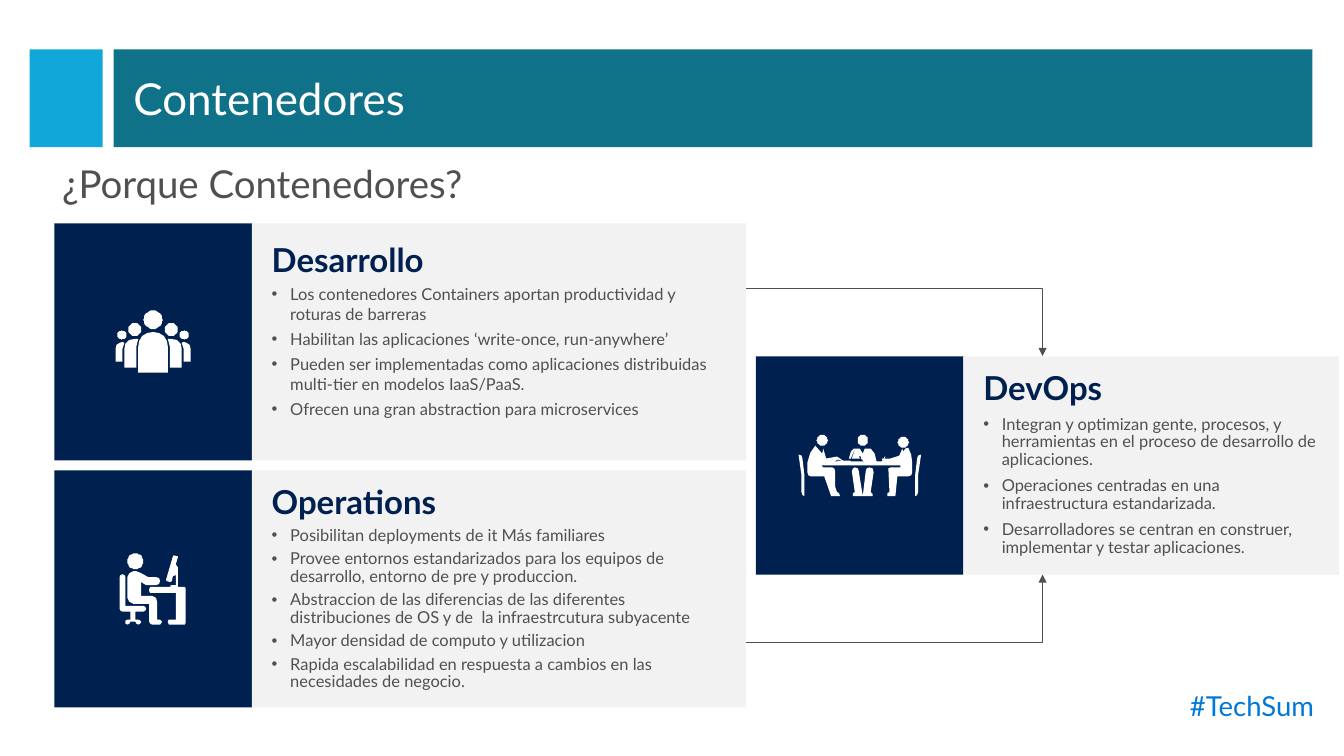
import math

import lxml.etree
import pptx
import pptx.dml.color
import pptx.enum.shapes
import pptx.enum.text
import pptx.oxml.ns
import pptx.util

Pt = pptx.util.Pt
qn = pptx.oxml.ns.qn
KIND = pptx.enum.shapes.MSO_SHAPE
ANCHOR = pptx.enum.text.MSO_ANCHOR
ALIGN = pptx.enum.text.PP_ALIGN
FONT = "Lato"
COLORS = {
    "teal": "107289", "cyan": "11A7D8", "navy": "002050", "pale": "F2F2F2",
    "gray": "505050", "blue": "0078D7", "white": "FFFFFF",
}

# Icon outlines, in units of 0.72 pt; discs are (x, y, radius)
TEAM_DISCS = [(6.5, 25, 4.5), (69.5, 25, 4.5), (19.5, 19.5, 6.5),
              (56.5, 19.5, 6.5), (38, 9.5, 9.5)]
TEAM_SIDE = [
    [(7, 32), (9, 33), (7.5, 36), (7, 39), (7, 52), (0, 52), (0, 39),
     (1, 35), (3.5, 33)],
    [(23, 29), (21.5, 33), (21, 37), (21, 58), (9, 58), (9, 39), (10.5, 34),
     (14.5, 30), (20, 29)],
]
TEAM_LEAD = [(23, 63), (23, 37), (24.2, 31), (27.4, 26.4), (32.3, 23.1), (38, 22),
             (43.7, 23.1), (48.6, 26.4), (51.8, 31), (53, 37), (53, 63)]
DESK_DISCS = [(16, 8, 8)]
DESK = [
    # Desk and screen
    [(67, 37), (67, 35), (66, 34), (59, 34), (59, 14), (57, 11), (59, 4), (59, 3),
     (55, 2), (54, 3), (47, 27), (48, 28), (51, 29), (53, 28), (54, 23), (57, 22),
     (57, 32), (53, 32), (51, 33), (53, 34), (31, 34), (30, 36), (30, 38), (31, 40),
     (57, 40), (57, 67), (50, 67), (49, 68), (49, 70), (50, 72), (66, 72), (67, 70)],
    # Chair
    [(24, 53), (6, 53), (6, 24), (5, 22), (3, 21), (1, 22), (0, 24), (0, 56), (1, 58),
     (3, 59), (11, 59), (11, 67), (8, 67), (6.5, 68), (6, 69.5), (6.5, 71), (8, 72),
     (10, 71), (11, 69), (16, 69), (17, 71), (19, 72), (21, 71), (22, 69),
     (21, 67.5), (19, 67), (16, 67), (16, 59), (24, 59), (26, 58), (27, 56), (26, 54)],
    # Body
    [(41, 67), (38, 67), (38, 49), (37, 45), (33, 43), (22, 43), (22, 29), (25, 31),
     (27, 32), (37, 32), (40, 31), (41, 28), (40, 25), (37, 24), (29, 24), (22, 20),
     (17, 18), (14, 18), (10, 20), (8, 24), (8, 45), (10, 49), (14, 51), (30, 51),
     (30, 69), (31, 71), (33, 72), (41, 72), (42.5, 71), (43, 69), (42.5, 68)],
]
MEET_DISCS = [(24, 5.5, 5.5), (65, 5.5, 5.5), (106, 7.5, 5.5)]
MEET = [
    # Table and people
    [(111, 13), (108, 14), (106, 17), (105, 14), (102, 21), (93, 24), (87, 24),
     (88, 21), (86, 24), (84, 24), (85, 26), (84, 27), (79, 27), (77, 19), (73, 14),
     (67, 14), (65, 19), (62, 14), (56, 14), (53, 17), (51, 24), (53, 24), (57, 14),
     (57, 15), (54, 24), (62, 24), (61, 21), (63, 22), (63, 24), (66, 27), (52, 27),
     (53, 26), (39, 26), (40, 27), (36, 27), (40, 25), (45, 26), (39, 22), (28, 24),
     (25, 14), (24, 19), (17, 11), (12, 18), (9, 28), (9, 38), (10, 41), (12, 42),
     (26, 42), (33, 62), (42, 62), (41, 59), (39, 58), (37, 52), (37, 36), (36, 34),
     (34, 33), (25, 33), (23, 31), (103, 31), (103, 33), (93, 33), (91, 34), (91, 36),
     (92, 58), (90, 59), (90, 62), (98, 62), (100, 42), (111, 42), (114, 41),
     (115, 38), (115, 28), (114, 20)],
    # Legs
    [(57, 33), (55, 34), (54, 37), (57, 58), (55, 59), (55, 62), (65, 62), (61, 37),
     (60, 34)],
    [(72, 33), (69, 34), (68, 37), (65, 62), (75, 62), (75, 60), (73, 58), (76, 38),
     (75, 34)],
]
MEET_CHAIR = [(0, 20), (3, 41), (3, 58), (4, 61), (6, 62), (6, 41), (4, 24), (3, 21)]


def rgb(name):
    return pptx.dml.color.RGBColor.from_string(COLORS[name])


def paint(shape, color):
    shape.shadow.inherit = False
    shape.fill.solid()
    shape.fill.fore_color.rgb = rgb(color)
    shape.line.fill.background()


def frame(shape, side, top, anchor=ANCHOR.TOP):
    body = shape.text_frame
    body.word_wrap = True
    body.vertical_anchor = anchor
    body.margin_left = body.margin_right = Pt(side)
    body.margin_top = body.margin_bottom = Pt(top)
    return body


def write(body, text, size=12, color="gray", bold=False, bullet=False, before=0, line=1.0):
    para = body.paragraphs[0]
    if para.runs:
        para = body.add_paragraph()
    para.alignment = ALIGN.LEFT
    if bullet:
        props = para._p.get_or_add_pPr()
        props.set("marL", str(Pt(13.5)))
        props.set("indent", str(-Pt(13.5)))
        lxml.etree.SubElement(props, qn("a:buFont")).set("typeface", "Arial")
        lxml.etree.SubElement(props, qn("a:buChar")).set("char", "•")
    para.line_spacing = line
    para.space_before = Pt(before)
    run = para.add_run()
    run.text = text
    run.font.name = FONT
    run.font.size = Pt(size)
    run.font.bold = bold
    run.font.color.rgb = rgb(color)


def block(slide, x, y, w, h, color):
    shape = slide.shapes.add_shape(KIND.RECTANGLE, Pt(x), Pt(y), Pt(w), Pt(h))
    paint(shape, color)
    return shape


def label(slide, x, y, w, h, text, **style):
    box = slide.shapes.add_textbox(Pt(x), Pt(y), Pt(w), Pt(h))
    write(frame(box, 11.5, 7.2), text, line=0.9, **style)


def panel(slide, x, y, h, dark, light, title, items, before=4, line=0.9):
    block(slide, x, y, dark, h, "navy")
    body = frame(block(slide, x + dark, y, light, h, "pale"), 14.4, 11.5)
    write(body, title, size=24, color="navy", bold=True, line=line)
    for item in items:
        write(body, item, bullet=True, before=before, line=line)


def flip(points, width):
    return [(width - x, y) for x, y in points]


def ring(x, y, r, steps=32):
    turns = [2 * math.pi * i / steps for i in range(steps)]
    return [(x + r * math.cos(t), y + r * math.sin(t)) for t in turns]


def icon(slide, x, y, discs, outlines):
    paths = [ring(*disc) for disc in discs] + outlines
    pen = slide.shapes.build_freeform(*paths[0][0], scale=Pt(0.72))
    for path in paths:
        pen.move_to(*path[0])
        pen.add_line_segments(path[1:], close=True)
    paint(pen.convert_to_shape(Pt(x), Pt(y)), "white")


def elbow(slide, x, y, w, h, turn, up):
    # Centred on x, y; w and h are measured before the turn
    ends = (y + h / 2, y - h / 2) if up else (y - h / 2, y + h / 2)
    link = slide.shapes.add_connector(
        pptx.enum.shapes.MSO_CONNECTOR.ELBOW,
        Pt(x - w / 2), Pt(ends[0]), Pt(x + w / 2), Pt(ends[1]))
    link.line.color.rgb = rgb("gray")
    link.line.width = Pt(0.25)
    props = link._element.spPr
    props.find(qn("a:xfrm")).set("rot", str(turn * 60000))
    props.find(qn("a:prstGeom")).set("prst", "bentConnector2")
    lxml.etree.SubElement(props.find(qn("a:ln")), qn("a:headEnd")).set("type", "triangle")
    lxml.etree.SubElement(props, qn("a:effectLst"))


def main():
    deck = pptx.Presentation()
    deck.slide_width, deck.slide_height = Pt(979.2), Pt(550.8)
    slide = deck.slides.add_slide(deck.slide_layouts[6])

    # Header
    bar = block(slide, 82.8, 36, 873.4, 71.3, "teal")
    write(frame(bar, 14.4, 3.6, ANCHOR.MIDDLE), "Contenedores", size=32, color="white")
    block(slide, 21.6, 36, 53.3, 71.3, "cyan")
    label(slide, 33.8, 113, 936, 45.4, "¿Porque Contenedores?", size=28)
    label(slide, 855.4, 497.5, 126, 36, "#TechSum", size=20, color="blue")

    # Panels
    panel(slide, 39.6, 162.7, 172.8, 144, 360, "Desarrollo", [
        "Los contenedores Containers aportan productividad y roturas de barreras",
        "Habilitan las aplicaciones ‘write-once, run-anywhere’",
        "Pueden ser implementadas como aplicaciones distribuidas multi-tier en modelos IaaS/PaaS.",
        "Ofrecen una gran abstraction para microservices"], line=1.0)
    panel(slide, 39.6, 342.7, 172.8, 144, 360, "Operations", [
        "Posibilitan deployments de it Más familiares",
        "Provee entornos estandarizados para los equipos de desarrollo, entorno de pre y produccion.",
        "Abstraccion de las diferencias de las diferentes distribuciones de OS y de  la infraestrcutura subyacente",
        "Mayor densidad de computo y utilizacion",
        "Rapida escalabilidad en respuesta a cambios en las necesidades de negocio."])
    panel(slide, 550.8, 259.6, 159.1, 151.2, 273.6, "DevOps", [
        "Integran y optimizan gente, procesos, y herramientas en el proceso de desarrollo de aplicaciones.",
        "Operaciones centradas en una infraestructura estandarizada.",
        "Desarrolladores se centran en construer, implementar y testar aplicaciones."], before=6)

    # Icons
    sides = TEAM_SIDE + [flip(side, 76) for side in TEAM_SIDE]
    icon(slide, 84.2, 226.1, TEAM_DISCS, sides + [TEAM_LEAD])
    icon(slide, 87.1, 403.2, DESK_DISCS, DESK)
    icon(slide, 581.8, 316.8, MEET_DISCS, MEET + [MEET_CHAIR, flip(MEET_CHAIR, 124)])

    # Arrows
    elbow(slide, 651.6, 234.7, 49.4, 216, 270, True)
    elbow(slide, 651.6, 443.3, 49.4, 216, 90, False)
    deck.save("out.pptx")


if __name__ == "__main__":
    main()
